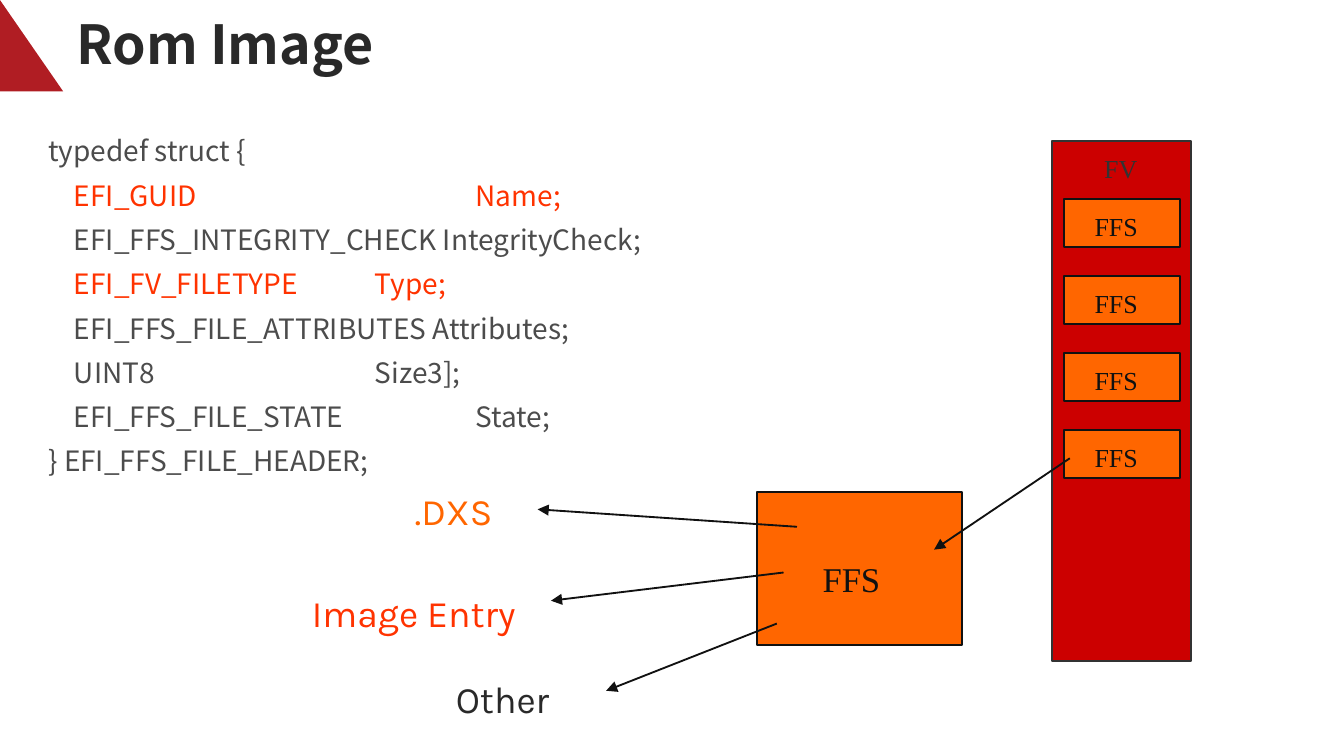
from typing import NamedTuple

from lxml.etree import SubElement
from pptx import Presentation
from pptx.dml.color import RGBColor
from pptx.enum.shapes import MSO_CONNECTOR as Connector, MSO_SHAPE as Preset
from pptx.enum.text import MSO_ANCHOR as Anchor, MSO_AUTO_SIZE as AutoSize, PP_ALIGN as Align
from pptx.oxml.ns import qn
from pptx.util import Emu, Inches, Pt

# The grid: 100 columns by 56.25 rows, each a tenth of an inch
COLUMNS, ROWS = 100, 56.25
SANS, SERIF, LABEL = "Noto Sans CJK SC", "Times New Roman", "Karla"
INK, DARK, GREY = "111111", "292929", "4C4C4C"
ORANGE, SCARLET, RED = "FF6600", "FF3300", "CC0000"


class Area(NamedTuple):
    left: float
    top: float
    width: float
    height: float


class Style(NamedTuple):
    font: str
    size: float
    color: str
    bold: bool = False
    lowered: bool = False


class Label(NamedTuple):
    text: str
    area: Area
    style: Style
    wrap: bool = False
    anchor: Anchor = Anchor.TOP


class Block(NamedTuple):
    area: Area
    fill: str
    line: str
    label: Label


class Arrow(NamedTuple):
    start: tuple[float, float]
    end: tuple[float, float]


class CodeLine(NamedTuple):
    text: str
    color: str = GREY
    tabs: tuple[float, ...] = ()


def cells(count: float) -> Emu:
    return Inches(count / 10)


def rgb(value: str) -> RGBColor:
    return RGBColor.from_string(value)


def place(shape, area: Area) -> None:
    shape.left, shape.top, shape.width, shape.height = map(cells, area)


def add_span(para, text: str, style: Style) -> None:
    span = para.add_run()
    span.text = text
    font = span.font
    font.name, font.size, font.bold = style.font, Pt(style.size), style.bold
    font.color.rgb = rgb(style.color)
    if style.lowered:
        span._r.get_or_add_rPr().set("baseline", "-25000")


def set_insets(frame) -> None:
    frame.margin_left = frame.margin_right = cells(0.8)
    frame.margin_top = frame.margin_bottom = cells(0.4)


def add_label(page, label: Label) -> None:
    frame = page.shapes.add_textbox(*map(cells, label.area)).text_frame
    frame.word_wrap = label.wrap
    frame.auto_size = AutoSize.SHAPE_TO_FIT_TEXT
    frame.vertical_anchor = label.anchor
    para = frame.paragraphs[0]
    para.alignment = Align.CENTER
    add_span(para, label.text, label.style)


def add_block(page, block: Block) -> None:
    box = page.shapes.add_shape(Preset.RECTANGLE, *map(cells, block.area))
    box.shadow.inherit = False
    box.fill.solid()
    box.fill.fore_color.rgb = rgb(block.fill)
    box.line.color.rgb = rgb(block.line)
    box.line.width = Pt(1)
    add_label(page, block.label)


def add_arrow(page, arrow: Arrow) -> None:
    line = page.shapes.add_connector(
        Connector.STRAIGHT, *map(cells, arrow.start + arrow.end))
    line.line.color.rgb = rgb(INK)
    line.line.width = Pt(1)
    SubElement(line.line._get_or_add_ln(), qn("a:tailEnd"), type="triangle")
    SubElement(line._element.spPr, qn("a:effectLst"))


def add_code(page, area: Area, lines: list[CodeLine]) -> None:
    frame = page.shapes.add_textbox(*map(cells, area)).text_frame
    frame.word_wrap = True
    set_insets(frame)
    for number, line in enumerate(lines):
        para = frame.add_paragraph() if number else frame.paragraphs[0]
        if line.tabs:
            stops = SubElement(para._p.get_or_add_pPr(), qn("a:tabLst"))
            for tab in line.tabs:
                SubElement(stops, qn("a:tab"), pos=str(cells(tab)), algn="l")
        para.line_spacing = 0.9
        para.space_before = Pt(7.5 if number else 0)
        add_span(para, line.text, Style(SANS, 15, line.color))


def add_title(page, text: str) -> None:
    title = page.shapes.title
    place(title, Area(4.9, 0.85, 80.4, 5.3))
    frame = title.text_frame
    set_insets(frame)
    frame.word_wrap = True
    frame.vertical_anchor = Anchor.MIDDLE
    para = frame.paragraphs[0]
    para.alignment = Align.LEFT
    para.line_spacing = 0.9
    add_span(para, text, Style(SANS, 28.8, DARK, bold=True))


def add_corner(page) -> None:
    outline = page.shapes.build_freeform(0, 0)
    outline.add_line_segments([(cells(4.7), cells(6.8)), (0, cells(6.8))])
    corner = outline.convert_to_shape()
    corner.shadow.inherit = False
    corner.fill.solid()
    corner.fill.fore_color.rgb = rgb("B01D23")
    corner.line.fill.background()


# Tab stops: the field's indent, then its name
FIELD = (1.9,)
NEAR, FAR = (1.9, 24.3), (1.9, 31.8)
HEADER_STRUCT = [
    CodeLine("typedef struct {"),
    CodeLine("\tEFI_GUID\tName;", SCARLET, FAR),
    CodeLine("\tEFI_FFS_INTEGRITY_CHECK IntegrityCheck;", tabs=FIELD),
    CodeLine("\tEFI_FV_FILETYPE\tType;", SCARLET, NEAR),
    CodeLine("\tEFI_FFS_FILE_ATTRIBUTES Attributes;", tabs=FIELD),
    CodeLine("\tUINT8\tSize3];", tabs=NEAR),
    CodeLine("\tEFI_FFS_FILE_STATE\tState;", tabs=FAR),
    CodeLine("} EFI_FFS_FILE_HEADER;"),
]

# Firmware volume, its four evenly spaced files, and one file enlarged
SMALL = Style(SERIF, 24, INK, lowered=True)
FILE_TOP, FILE_STEP = 14.8, 5.73
VOLUME = Block(Area(78.3, 10.5, 10.3, 38.7), RED, "333333",
               Label("FV", Area(80.9, 9.8, 5, 3.2),
                     SMALL._replace(color="333333"), anchor=Anchor.MIDDLE))
FILES = [
    Block(Area(79.2, top, 8.6, 3.6), ORANGE, INK,
          Label("FFS", Area(80.1, top - 0.7, 5.9, 3.2), SMALL, anchor=Anchor.MIDDLE))
    for top in (FILE_TOP + FILE_STEP * row for row in range(4))
]
ENLARGED = Block(Area(56.3, 36.6, 15.3, 11.4), ORANGE, INK,
                 Label("FFS", Area(59.3, 39.6, 8.1, 3.9),
                       SMALL._replace(size=32), True, Anchor.MIDDLE))

ARROWS = [
    Arrow((79.6, 34.1), (69.5, 40.9)),
    Arrow((59.3, 39.2), (40, 37.9)),
    Arrow((58.3, 42.6), (41, 44.7)),
    Arrow((57.8, 46.4), (45.1, 51.4)),
]
SECTIONS = [
    Label(".DXS", Area(29.8, 35.8, 7.9, 3.7), Style(LABEL, 20, ORANGE)),
    Label("Image Entry", Area(22.1, 43.4, 17.4, 3.7), Style(LABEL, 20, SCARLET)),
    Label("Other", Area(32.7, 49.8, 9.4, 3.7), Style(LABEL, 20, DARK)),
]


def main() -> None:
    deck = Presentation()
    deck.slide_width, deck.slide_height = cells(COLUMNS), cells(ROWS)
    deck.element.sldSz.attrib.pop("type", None)  # drop the 4:3 preset
    page = deck.slides.add_slide(deck.slide_layouts.get_by_name("Title Only"))

    # Heading and code
    add_corner(page)
    add_title(page, "Rom Image")
    add_code(page, Area(2.8, 9.85, 93.9, 26.8), HEADER_STRUCT)

    # Diagram
    for block in [VOLUME, *FILES, ENLARGED]:
        add_block(page, block)
    for arrow in ARROWS:
        add_arrow(page, arrow)
    for section in SECTIONS:
        add_label(page, section)
    deck.save("out.pptx")


if __name__ == "__main__":
    main()
